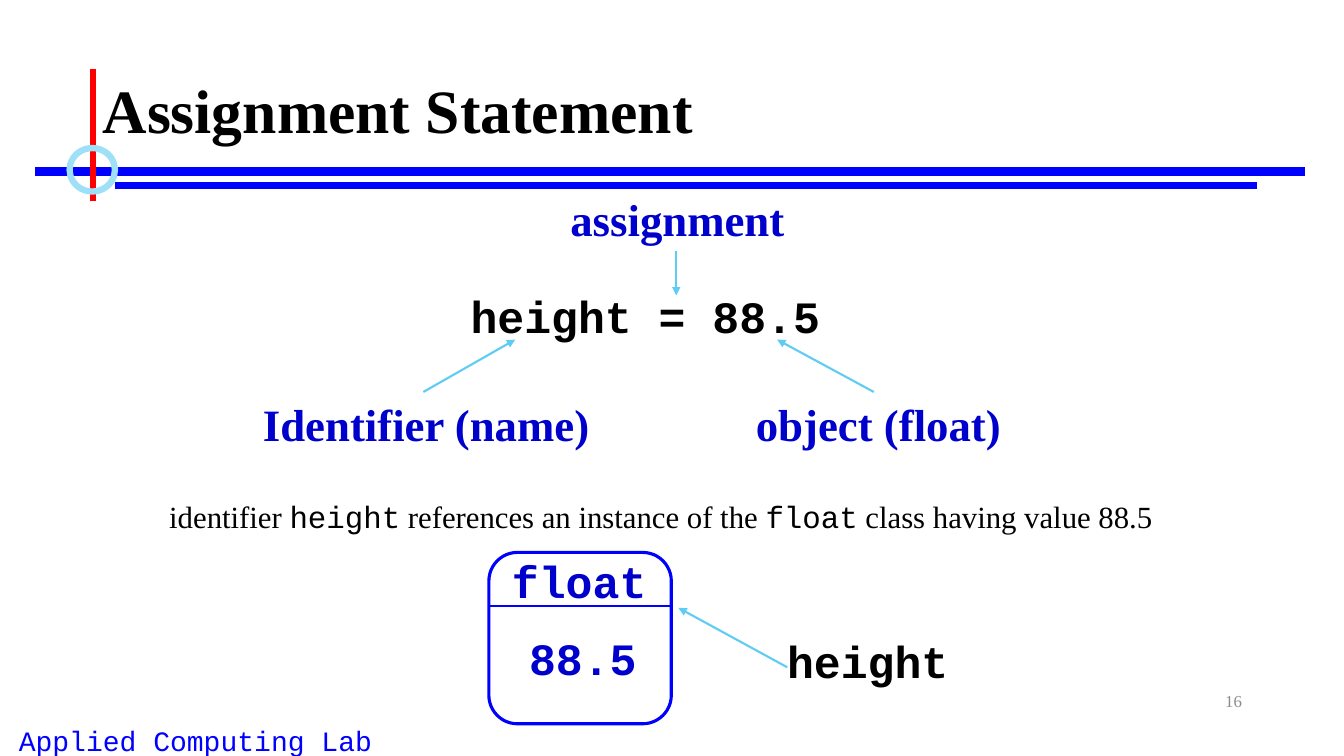
from pptx import Presentation
from pptx import util as u
from pptx.dml.color import RGBColor
from pptx.enum import shapes, text
from pptx.oxml.ns import qn
from lxml import etree

BLACK = RGBColor(0x00, 0x00, 0x00)
WHITE = RGBColor(0xFF, 0xFF, 0xFF)
GREY = RGBColor(0x8C, 0x8C, 0x8C)
RED = RGBColor(0xFF, 0x00, 0x00)
BLUE = RGBColor(0x00, 0x00, 0xFF)
DARK_BLUE = RGBColor(0x00, 0x00, 0xCC)
SKY = RGBColor(0x5E, 0xCC, 0xF3)
PALE_SKY = RGBColor(0x9E, 0xE0, 0xF8)

SERIF = "Times New Roman"
MONO = "Courier New"
LEFT, CENTER, RIGHT = text.PP_ALIGN.LEFT, text.PP_ALIGN.CENTER, text.PP_ALIGN.RIGHT
TOP, MIDDLE = text.MSO_ANCHOR.TOP, text.MSO_ANCHOR.MIDDLE


def add_span(para, words, font=SERIF, size=32, color=BLACK, bold=False):
    span = para.add_run()
    span.text = words
    span.font.name = font
    span.font.size = u.Pt(size)
    span.font.color.rgb = color
    span.font.bold = bold


class Painter:
    """Draws elements on one slide; every length is in points."""

    def __init__(self, slide):
        self.shapes = slide.shapes

    def box(self, left, top, width, height, spans, align=LEFT, anchor=TOP,
            wrap=True, spacing=None, **style):
        """Add a text box; spans is a list of (words, font) pairs."""
        box = self.shapes.add_textbox(*map(u.Pt, (left, top, width, height)))
        frame = box.text_frame
        frame.word_wrap = wrap
        frame.vertical_anchor = anchor
        para = frame.paragraphs[0]
        para.alignment = align
        para.line_spacing = spacing
        for words, font in spans:
            add_span(para, words, font=font, **style)

    def label(self, left, top, width, words, font=SERIF, color=DARK_BLUE):
        """Add a bold one-line label."""
        self.box(left, top, width, 46, [(words, font)], wrap=False,
                 color=color, bold=True)

    def line(self, start, end, color, weight, arrow=False):
        line = self.shapes.add_connector(
            shapes.MSO_CONNECTOR.STRAIGHT, *map(u.Pt, (*start, *end)))
        line.line.color.rgb = color
        line.line.width = u.Pt(weight)
        if arrow:
            etree.SubElement(line.line._get_or_add_ln(), qn("a:tailEnd"), type="triangle")
        etree.SubElement(line._element.spPr, qn("a:effectLst"))

    def arrow(self, start, end):
        self.line(start, end, SKY, 1.5, arrow=True)

    def outline(self, kind, left, top, width, height, color, weight, fill=None):
        shape = self.shapes.add_shape(kind, *map(u.Pt, (left, top, width, height)))
        shape.shadow.inherit = False
        if fill is None:
            shape.fill.background()
        else:
            shape.fill.solid()
            shape.fill.fore_color.rgb = fill
        shape.line.color.rgb = color
        shape.line.width = u.Pt(weight)


def draw_frame(page):
    """Draw the footer, rules, title and page number."""
    page.box(-41.8, 513.4, 363, 31, [("Applied Computing Lab", MONO)],
             align=CENTER, size=20, color=BLUE)
    page.line((25.2, 122.4), (932.4, 122.4), BLUE, 6)
    page.line((82, 132.5), (898, 132.5), BLUE, 4.5)
    page.line((66.2, 49), (66.2, 143.3), RED, 4.5)
    page.outline(shapes.MSO_SHAPE.OVAL, 49.7, 105.8, 32.4, 31, PALE_SKY, 4.5)
    page.box(66.2, 28.8, 828, 104.4, [("Assignment Statement", SERIF)],
             anchor=MIDDLE, spacing=0.9, size=44, bold=True)
    page.box(678.2, 486, 216, 28.8, [("16", SERIF)],
             align=RIGHT, anchor=MIDDLE, size=12, color=GREY)


def draw_statement(page):
    """Draw the assignment with its three named parts."""
    page.label(329, 203, 267, "height = 88.5", MONO, BLACK)
    page.label(532.8, 280, 190.8, "object (float)")
    page.label(180.7, 280, 249.8, "Identifier (name)")
    page.label(400.3, 133.2, 169.2, "assignment")
    page.arrow((302.4, 280), (368, 242.6))
    page.arrow((624.2, 280), (555.1, 242.6))
    page.arrow((483.1, 179.3), (483.1, 211))


def draw_object(page):
    """Draw the float object and the name that refers to it."""
    left, top, width, height = 349.2, 394.6, 130.3, 122.4
    divider = 432.7
    page.outline(shapes.MSO_SHAPE.ROUNDED_RECTANGLE, left, top, width, height,
                 BLUE, 2.25, fill=WHITE)
    page.line((left, divider), (left + width, divider), BLUE, 1.5)
    page.label(358.6, 391.7, 111.6, "float", MONO)
    page.label(370.8, 447.1, 92.2, "88.5", MONO)
    page.label(555.1, 449.3, 131, "height", MONO, BLACK)
    page.arrow((562.3, 476.6), (484.6, 434.2))
    page.box(113.8, 352, 734.4, 33.8, [
        ("identifier ", SERIF),
        ("height", MONO),
        (" references an instance of the ", SERIF),
        ("float", MONO),
        (" class having value 88.5", SERIF),
    ], size=22)


def main():
    deck = Presentation()
    deck.slide_width, deck.slide_height = u.Pt(960), u.Pt(540)
    page = Painter(deck.slides.add_slide(deck.slide_layouts[6]))
    draw_frame(page)
    draw_statement(page)
    draw_object(page)
    deck.save("out.pptx")


if __name__ == "__main__":
    main()
